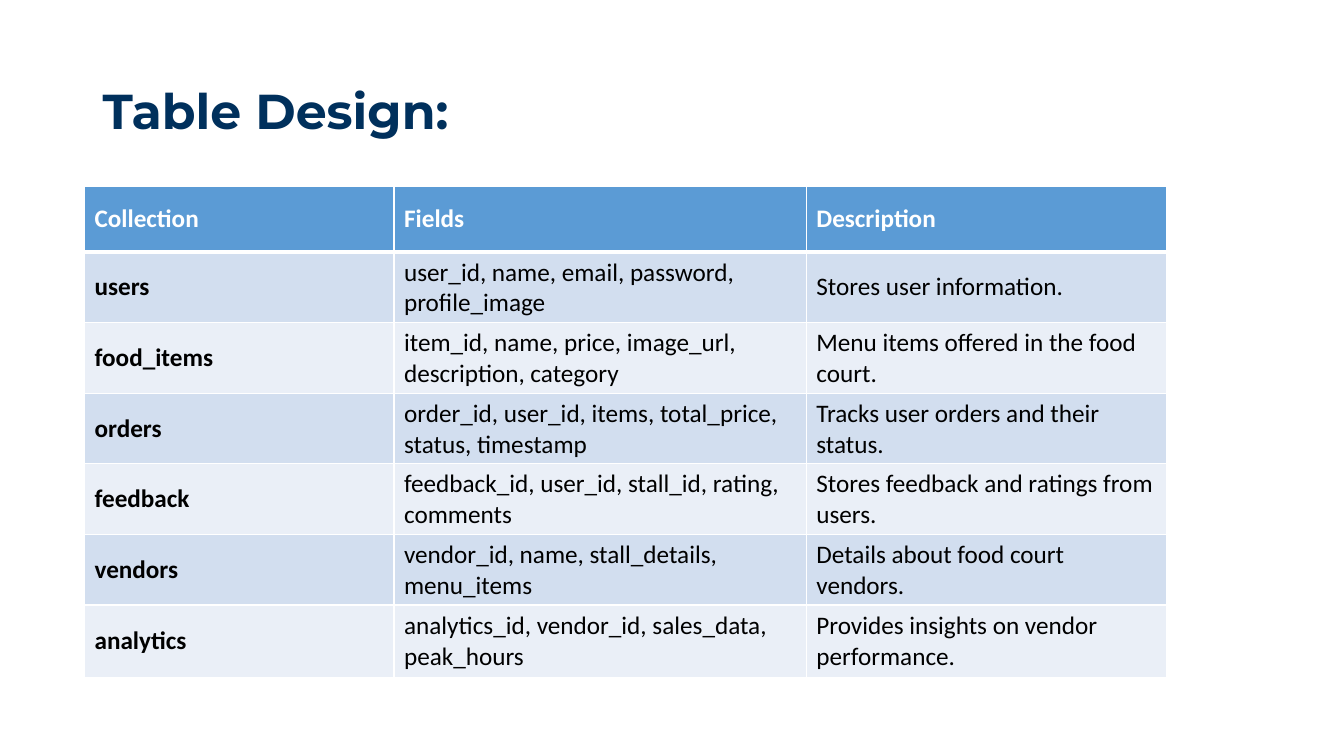
"""Build the table design slide: a title and a table of collections."""
from lxml import etree
from pptx import Presentation
from pptx.dml.color import RGBColor
from pptx.enum.text import MSO_ANCHOR
from pptx.oxml.ns import qn
from pptx.util import Cm, Pt

TITLE = "Table Design:"
ROWS = [
    ("Collection", "Fields", "Description"),
    ("users", "user_id, name, email, password, profile_image",
     "Stores user information."),
    ("food_items", "item_id, name, price, image_url, description, category",
     "Menu items offered in the food court."),
    ("orders", "order_id, user_id, items, total_price, status, timestamp",
     "Tracks user orders and their status."),
    ("feedback", "feedback_id, user_id, stall_id, rating, comments",
     "Stores feedback and ratings from users."),
    ("vendors", "vendor_id, name, stall_details, menu_items",
     "Details about food court vendors."),
    ("analytics", "analytics_id, vendor_id, sales_data, peak_hours",
     "Provides insights on vendor performance."),
]
WIDTHS = [7.8, 10.39, 9.09]
HEIGHTS = [1.65] * 6 + [1.83]

NAVY = RGBColor(0x00, 0x30, 0x5C)
BLUE = RGBColor(0x5B, 0x9B, 0xD5)
BANDS = [RGBColor(0xEA, 0xEF, 0xF7), RGBColor(0xD2, 0xDE, 0xEF)]
WHITE = RGBColor(0xFF, 0xFF, 0xFF)
BLACK = RGBColor(0x00, 0x00, 0x00)
MIDDLE = MSO_ANCHOR.MIDDLE


def style(frame, name, size, color, bold):
    font = frame.paragraphs[0].runs[0].font
    font.name, font.size, font.bold = name, Pt(size), bold
    font.color.rgb = color


def edge(cell, side, width):
    props = cell._tc.get_or_add_tcPr()
    line = etree.SubElement(props, qn("a:ln" + side), w=str(Pt(width)))
    fill = etree.SubElement(line, qn("a:solidFill"))
    etree.SubElement(fill, qn("a:srgbClr"), val=str(WHITE))


def add_title(slide):
    box = slide.shapes.add_textbox(Cm(2.34), Cm(1.02), Cm(24.31), Cm(3.68))
    frame = box.text_frame
    frame.word_wrap = True
    frame.vertical_anchor = MIDDLE
    frame.text = TITLE
    frame.paragraphs[0].line_spacing = 0.9
    style(frame, "Montserrat", 35, NAVY, True)


def add_grid(slide):
    grid = slide.shapes.add_table(
        len(ROWS), len(WIDTHS), Cm(2.13), Cm(4.7),
        Cm(sum(WIDTHS)), Cm(sum(HEIGHTS))).table
    for col, width in zip(grid.columns, WIDTHS):
        col.width = Cm(width)
    for r, texts in enumerate(ROWS):
        grid.rows[r].height = Cm(HEIGHTS[r])
        head = r == 0
        for c, text in enumerate(texts):
            cell = grid.cell(r, c)
            cell.text = text
            cell.vertical_anchor = MIDDLE
            style(cell.text_frame, "Calibri", 18,
                  WHITE if head else BLACK, head or c == 0)
            for side in "LRTB":
                thick = (r, side) in ((0, "B"), (1, "T"))
                edge(cell, side, 3 if thick else 1)
            cell.fill.solid()
            cell.fill.fore_color.rgb = BLUE if head else BANDS[r % 2]


def main():
    deck = Presentation()
    deck.slide_width, deck.slide_height = Cm(33.87), Cm(19.05)
    slide = deck.slides.add_slide(deck.slide_layouts[6])
    add_title(slide)
    add_grid(slide)
    deck.save("out.pptx")


if __name__ == "__main__":
    main()
